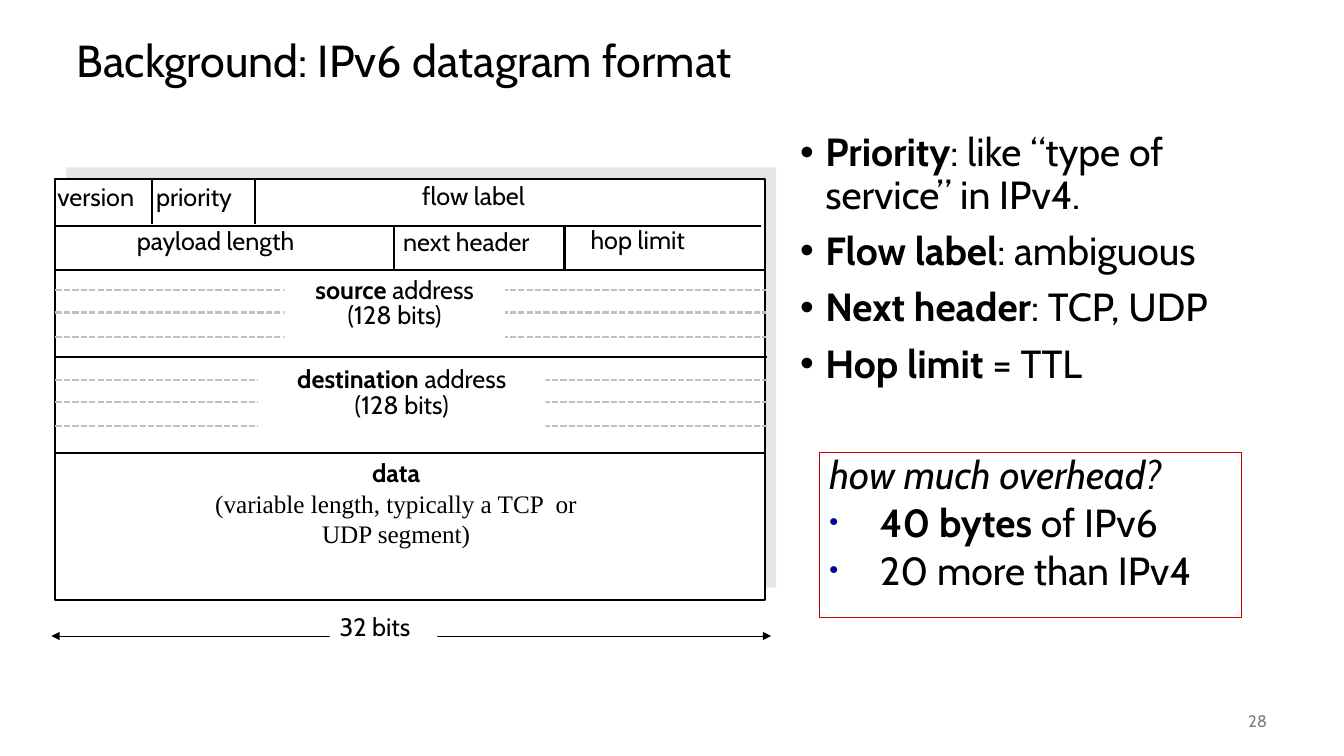
from lxml import etree
from pptx import Presentation
from pptx import util as u
from pptx.dml.color import RGBColor
from pptx.enum import dml, shapes, text
from pptx.oxml.ns import qn

# The slide is a grid of square cells, ten to the inch.
CELL = u.Inches(0.1)
WIDTH, HEIGHT = 133.33, 75
FONT = "Cabin"
LEFT, CENTER, RIGHT = text.PP_ALIGN.LEFT, text.PP_ALIGN.CENTER, text.PP_ALIGN.RIGHT


def cells(*counts):
    return [round(count * CELL) for count in counts]


def color(value):
    return RGBColor.from_string(value)


def add_child(parent, tag, **attributes):
    return etree.SubElement(parent, qn(tag), **attributes)


def add_bullet(paragraph, indent, bullet_color=None, percent=None):
    properties = paragraph._p.get_or_add_pPr()
    hanging = cells(indent)[0]
    properties.set("marL", str(hanging))
    properties.set("indent", str(-hanging))
    if bullet_color:
        add_child(add_child(properties, "a:buClr"), "a:srgbClr", val=bullet_color)
    if percent:
        add_child(properties, "a:buSzPct", val=str(percent * 1000))
    add_child(properties, "a:buFont", typeface="Arial")
    add_child(properties, "a:buChar", char="•")


def write(paragraph, runs, size, align=LEFT, spacing=1.0, before=0, font_color="000000"):
    """Add runs given as (words, style, font name); style holds b or i."""
    paragraph.alignment = align
    paragraph.line_spacing = spacing
    paragraph.space_before = u.Pt(before)
    for words, style, font_name in runs:
        run = paragraph.add_run()
        run.text = words
        run.font.name = font_name
        run.font.size = u.Pt(size)
        run.font.bold = "b" in style
        run.font.italic = "i" in style
        run.font.color.rgb = color(font_color)


def paragraphs_of(frame, count):
    return [frame.paragraphs[0]] + [frame.add_paragraph() for _ in range(count - 1)]


def add_text(slide, box, lines, size=18, anchor=text.MSO_ANCHOR.TOP, **style):
    shape = slide.shapes.add_textbox(*cells(*box))
    frame = shape.text_frame
    frame.word_wrap = True
    frame.vertical_anchor = anchor
    for paragraph, runs in zip(paragraphs_of(frame, len(lines)), lines):
        write(paragraph, runs, size, **style)
    return shape


def fill_white(shape):
    shape.fill.solid()
    shape.fill.fore_color.rgb = color("FFFFFF")


def add_rectangle(slide, box, fill=None, line=None, width=1.5):
    shape = slide.shapes.add_shape(shapes.MSO_SHAPE.RECTANGLE, *cells(*box))
    shape.shadow.inherit = False
    if fill:
        shape.fill.solid()
        shape.fill.fore_color.rgb = color(fill)
    else:
        shape.fill.background()
    if line:
        shape.line.color.rgb = color(line)
        shape.line.width = u.Pt(width)
    else:
        shape.line.fill.background()
    return shape


def add_line(slide, start, end, line="000000", width=1.5, dashed=False, arrows=False):
    connector = slide.shapes.add_connector(
        shapes.MSO_CONNECTOR.STRAIGHT, *cells(*start, *end))
    connector.line.color.rgb = color(line)
    connector.line.width = u.Pt(width)
    if dashed:
        connector.line.dash_style = dml.MSO_LINE.SQUARE_DOT
    if arrows:
        for tag in ("a:headEnd", "a:tailEnd"):
            add_child(connector.line._get_or_add_ln(), tag, type="triangle")
    add_child(connector._element.spPr, "a:effectLst")


def place_title(slide, box, words):
    title = slide.shapes.title
    title.left, title.top, title.width, title.height = cells(*box)
    title.text_frame.vertical_anchor = text.MSO_ANCHOR.MIDDLE
    title.text_frame.word_wrap = True
    write(title.text_frame.paragraphs[0], [(words, "", FONT)], 32, spacing=0.9)


def add_header_rows(slide, left, top, width):
    for row, end in ((4.6, width - 0.4), (9, width), (17.6, width + 0.2), (27.1, width)):
        add_line(slide, (left, top + row), (left + end, top + row))
    for column, row in ((9.6, 0), (19.8, 0), (33.6, 4.6), (50.5, 4.6)):
        add_line(slide, (left + column, top + row), (left + column, top + row + 4.4))
    labels = (("version", -0.8, -0.3, 11.5), ("priority", 9, -0.3, 11.6),
              ("flow label", 35.4, -0.4, 14.7), ("payload length", 7.1, 4.1, 20.9),
              ("next header", 33.5, 4.2, 17.2), ("hop limit", 52.1, 4, 13.9))
    for words, column, row, label_width in labels:
        add_text(slide, (left + column, top + row, label_width, 5), [[(words, "", FONT)]])


def add_address(slide, box, name, label_left, label_width):
    left, top, width = box
    for row in (2, 4.2, 6.6):
        add_line(slide, (left, top + row), (left + width, top + row), "BFBFBF", dashed=True)
    label = add_text(slide, (left + label_left, top + 0.35, label_width, 7.9),
                     [[(name, "b", FONT), (" address", "", FONT)],
                      [("(128 bits)", "", FONT)]],
                     align=CENTER, spacing=0.85)
    fill_white(label)


def add_datagram(slide, box):
    left, top, width, height = box
    add_rectangle(slide, (left + 1.1, top - 1.2, width, height), "E6E6E6")
    add_rectangle(slide, box, "FFFFFF", "000000")
    add_header_rows(slide, left, top, width)
    add_text(slide, (left + 14.8, top + 27.1, 38, 13.1),
             [[("data", "b", FONT)],
              [("(variable length, typically a TCP  or UDP segment)", "", "Times New Roman")]],
             align=CENTER)
    ruler = top + height + 3.6
    add_line(slide, (left - 0.4, ruler), (left + width + 0.6, ruler), width=0.75, arrows=True)
    fill_white(add_text(slide, (left + 27.2, ruler - 2.9, 10.7, 5), [[("32 bits", "", FONT)]]))
    add_address(slide, (left, top + 9, width + 0.1), "source", 22.7, 21.9)
    add_address(slide, (left, top + 17.9, width + 0.2), "destination", 20.1, 28.5)


def add_field_notes(slide, box):
    notes = (("Priority", ": like “type of service” in IPv4."),
             ("Flow label", ": ambiguous"),
             ("Next header", ": TCP, UDP"),
             ("Hop limit ", "= TTL"))
    frame = slide.shapes.add_textbox(*cells(*box)).text_frame
    frame.word_wrap = True
    for index, paragraph in enumerate(paragraphs_of(frame, len(notes))):
        term, meaning = notes[index]
        add_bullet(paragraph, 2.5)
        write(paragraph, [(term, "b", FONT), (meaning, "", FONT)], 28,
              spacing=0.9, before=10 if index else 0)


def add_overhead(slide, box):
    lines = ([("how much overhead?", "i", FONT)],
             [("40 bytes ", "b", FONT), ("of IPv6", "", FONT)],
             [("20 more than IPv4", "", FONT)])
    frame = add_rectangle(slide, box, line="CC0000", width=0.75).text_frame
    frame.word_wrap = True
    frame.vertical_anchor = text.MSO_ANCHOR.TOP
    for index, paragraph in enumerate(paragraphs_of(frame, len(lines))):
        if index:
            add_bullet(paragraph, 5, "000099", 65)
        write(paragraph, lines[index], 28, spacing=0.85, before=5.6 if index else 0)


def main():
    presentation = Presentation()
    presentation.slide_width, presentation.slide_height = cells(WIDTH, HEIGHT)
    slide = presentation.slides.add_slide(presentation.slide_layouts[5])
    place_title(slide, (6.6, 2.5, 120, 7.5), "Background: IPv6 datagram format")
    add_text(slide, (116.7, 69.5, 10, 4), [[("28", "", FONT)]], 12,
             text.MSO_ANCHOR.MIDDLE, align=RIGHT, font_color="808080")
    add_field_notes(slide, (78.4, 12.7, 48.3, 27.3))
    add_datagram(slide, (5.5, 17.8, 70.4, 41.7))
    add_overhead(slide, (81.3, 44.9, 41.9, 16.4))
    presentation.save("out.pptx")


if __name__ == "__main__":
    main()
